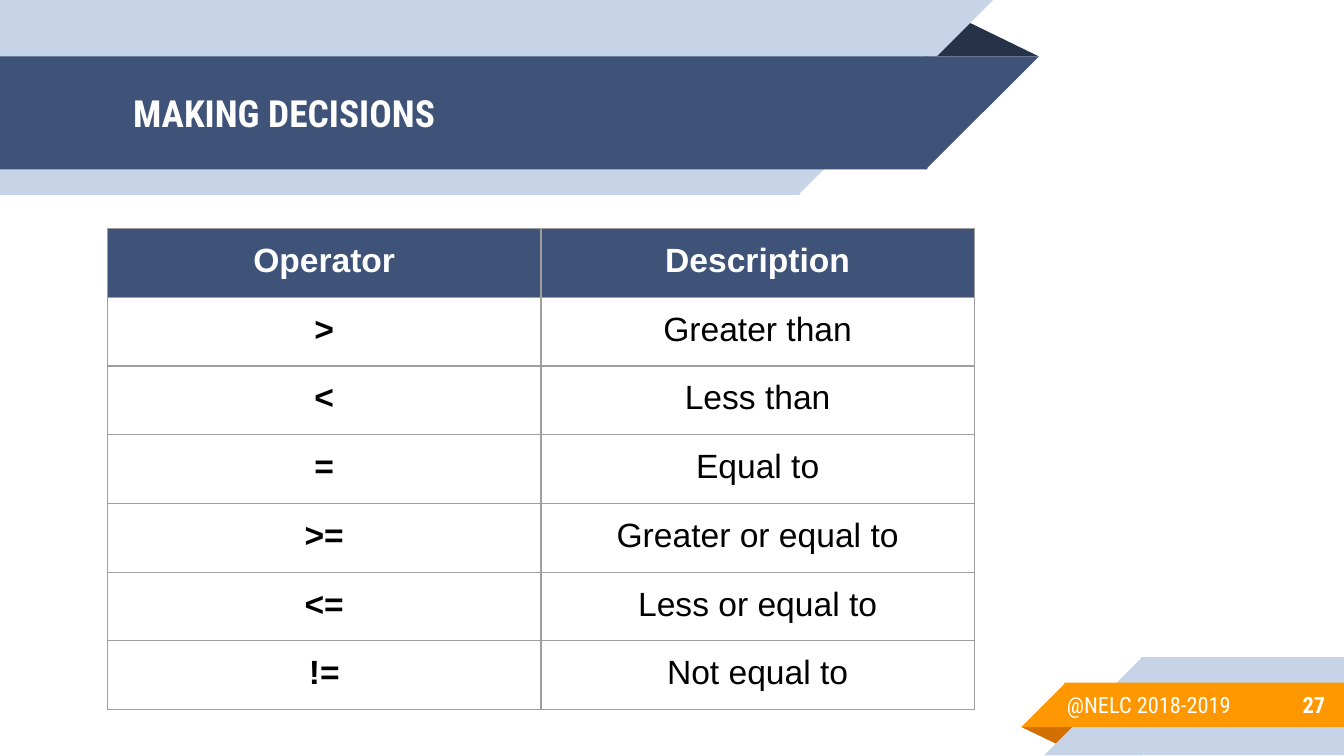
from lxml.etree import SubElement
from pptx import Presentation
from pptx.dml.color import RGBColor
from pptx.enum.shapes import MSO_SHAPE as Preset
from pptx.enum.text import MSO_ANCHOR as Anchor, MSO_AUTO_SIZE as AutoSize, PP_ALIGN as Align
from pptx.oxml.ns import qn
from pptx.util import Inches, Pt

COLORS = {
    "navy": "3F5378",
    "dark_fold": "263248",
    "pale": "C7D3E6",
    "orange": "FF9800",
    "orange_fold": "D26F00",
    "grid": "9E9E9E",
    "white": "FFFFFF",
    "black": "000000",
}
HEADING_FONT = "Roboto Condensed"
TABLE_FONT = "Arial"
SLIDE_WIDTH = 10
SLIDE_HEIGHT = SLIDE_WIDTH * 9 / 16
OVERLAP = 0.01  # hides the seam between a band and its tip
OPERATORS = [
    ("Operator", "Description"),
    (">", "Greater than"),
    ("<", "Less than"),
    ("=", "Equal to"),
    (">=", "Greater or equal to"),
    ("<=", "Less or equal to"),
    ("!=", "Not equal to"),
]


def rgb(name):
    return RGBColor.from_string(COLORS[name])


def add_block(slide, preset, box, color, rotation=0, flip=None):
    block = slide.shapes.add_shape(preset, *map(Inches, box))
    block.shadow.inherit = False
    block.fill.solid()
    block.fill.fore_color.rgb = rgb(color)
    block.line.fill.background()
    block.rotation = rotation
    if flip:
        block.element.spPr.find(qn("a:xfrm")).set(flip, "1")
    return block


def add_fold(slide, box, color, rotation=0):
    fold = add_block(slide, Preset.ISOSCELES_TRIANGLE, box, color, rotation)
    fold.adjustments[0] = 0.324


def add_top_band(slide, top, width, height, color):
    """Band from the left edge, ending in a slanted tip as wide as it is high."""
    add_block(slide, Preset.RECTANGLE, (0, top, width + OVERLAP, height), color)
    add_block(slide, Preset.RIGHT_TRIANGLE, (width, top, height, height), color, flip="flipV")


def add_bottom_band(slide, left, top, height, color):
    """Band to the right edge, starting with a slanted tip as wide as it is high."""
    start = left - OVERLAP
    add_block(slide, Preset.RECTANGLE, (start, top, SLIDE_WIDTH - start, height), color)
    add_block(slide, Preset.RIGHT_TRIANGLE, (left - height, top, height, height), color, flip="flipH")


def write(frame, text, size, font, color="white", bold=False, align=Align.LEFT):
    frame.text = text
    paragraph = frame.paragraphs[0]
    paragraph.alignment = align
    paragraph.font.size = Pt(size)
    paragraph.font.name = font
    paragraph.font.bold = bold
    paragraph.font.color.rgb = rgb(color)


def set_frame(frame, anchor):
    frame.word_wrap = True
    frame.auto_size = AutoSize.NONE
    frame.vertical_anchor = anchor
    frame.margin_left = frame.margin_right = Inches(0.1)
    frame.margin_top = frame.margin_bottom = Inches(0.1)


def set_title(slide, text):
    title = slide.shapes.title
    title.left, title.top = Inches(0.89), Inches(0.42)
    title.width, title.height = Inches(6.01), Inches(0.84)
    set_frame(title.text_frame, Anchor.MIDDLE)
    write(title.text_frame, text, 20, HEADING_FONT, bold=True)
    title.element.getparent().append(title.element)  # in front of the bands


def add_label(slide, box, text, anchor=Anchor.TOP, **style):
    label = slide.shapes.add_textbox(*map(Inches, box))
    set_frame(label.text_frame, anchor)
    write(label.text_frame, text, 12, HEADING_FONT, **style)


def add_borders(cell):
    properties = cell._tc.get_or_add_tcPr()
    for position, side in enumerate(("a:lnL", "a:lnR", "a:lnT", "a:lnB")):
        line = SubElement(properties, qn(side), w=str(Pt(0.75)))
        properties.insert(position, line)
        fill = SubElement(line, qn("a:solidFill"))
        SubElement(fill, qn("a:srgbClr"), val=COLORS["grid"])


def add_operator_table(slide):
    box = (0.8, 1.7, 6.45, 3.58)
    table = slide.shapes.add_table(len(OPERATORS), 2, *map(Inches, box)).table
    table.horz_banding = False
    for r, row in enumerate(OPERATORS):
        header = r == 0
        for c, text in enumerate(row):
            cell = table.cell(r, c)
            cell.margin_left = cell.margin_right = Inches(0.1)
            cell.margin_top = cell.margin_bottom = Inches(0.1)
            if header:
                cell.fill.solid()
                cell.fill.fore_color.rgb = rgb("navy")
            else:
                cell.fill.background()
            write(cell.text_frame, text, 18, TABLE_FONT,
                  color="white" if header else "black",
                  bold=header or c == 0, align=Align.CENTER)
            add_borders(cell)


def main():
    deck = Presentation()
    deck.slide_width, deck.slide_height = Inches(SLIDE_WIDTH), Inches(SLIDE_HEIGHT)
    slide = deck.slides.add_slide(deck.slide_layouts[5])

    add_fold(slide, (6.88, 0.14, 0.85, 0.28), "dark_fold")
    add_top_band(slide, 0, 5.94, 1.45, "pale")
    add_top_band(slide, 0.42, 6.89, 0.84, "navy")
    add_fold(slide, (7.6, 5.41, 0.43, 0.14), "orange_fold", rotation=180)
    add_bottom_band(slide, 8.5, 4.89, 0.73, "pale")
    add_bottom_band(slide, 7.93, 5.08, 0.33, "orange")

    set_title(slide, "MAKING DECISIONS")
    add_label(slide, (8.33, 5.07, 1.63, 0.35), "27", Anchor.MIDDLE, bold=True, align=Align.RIGHT)
    add_label(slide, (7.84, 5.04, 1.79, 0.55), "@NELC 2018-2019")
    add_operator_table(slide)
    deck.save("out.pptx")


if __name__ == "__main__":
    main()
